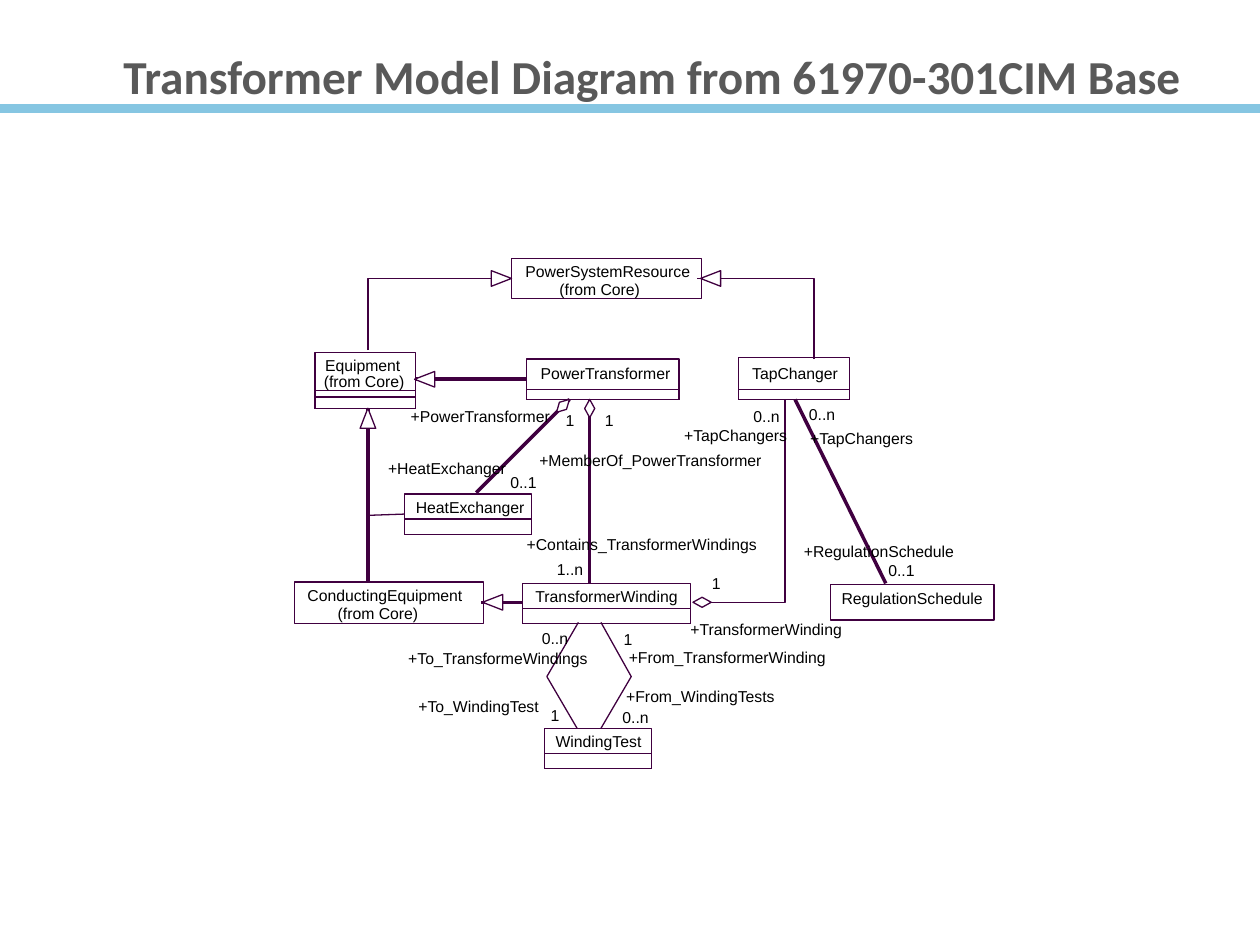
from dataclasses import dataclass
from math import hypot

from lxml.etree import SubElement
from pptx import Presentation
from pptx.dml.color import RGBColor
from pptx.enum.shapes import MSO_CONNECTOR, MSO_SHAPE
from pptx.enum.text import MSO_ANCHOR, MSO_AUTO_SIZE, PP_ALIGN
from pptx.oxml.ns import qn
from pptx.util import Inches, Pt

PLUM = RGBColor(0x40, 0x00, 0x40)
SKY = RGBColor(0x86, 0xC6, 0xE2)
GREY = RGBColor(0x59, 0x59, 0x59)
BLACK = RGBColor(0x00, 0x00, 0x00)
WHITE = RGBColor(0xFF, 0xFF, 0xFF)
COLUMNS, ROWS = 100, 75
LABEL_HEIGHT = 1.5

# Each class: left, top, width, height, divider offsets, text lines (text, x, y, width).
CLASSES = [
    (3.4, 26.2, 15, 3.3, [], [("ConductingEquipment", 1, 0.3, 12.4), ("(from Core)", 3.4, 1.7, 6.5)]),
    (5, 8, 8, 4.4, [3, 3.5], [("Equipment", 0.8, 0.2, 6), ("(from Core)", 0.7, 1.5, 6.5)]),
    (20.6, 0.5, 15.1, 3.2, [], [("PowerSystemResource", 1.1, 0.3, 13.2), ("(from Core)", 3.8, 1.7, 6.5)]),
    (45.9, 26.4, 13, 2.8, [], [("RegulationSchedule", 0.9, 0.3, 11.3)]),
    (38.6, 8.4, 8.8, 3.3, [2.5], [("TapChanger", 1.1, 0.5, 7)]),
    (23.2, 37.8, 8.5, 3.2, [2], [("WindingTest", 0.9, 0.3, 7)]),
    (12.1, 19.2, 10.1, 3.2, [2], [("HeatExchanger", 0.9, 0.3, 8.7)]),
    (21.5, 26.3, 13.3, 3.2, [2], [("TransformerWinding", 1, 0.3, 11.4)]),
    (21.8, 8.5, 12.1, 3.2, [2.4], [("PowerTransformer", 1.1, 0.4, 10.4)]),
]
RELATIONS = [
    [(50.3, 26.3), (43.1, 11.7)],
    [(42.3, 11.7), (42.3, 27.8), (35.2, 27.8)],
    [(27.7, 37.8), (30.1, 33.7), (27.7, 29.4)],
    [(25.8, 37.8), (23.4, 33.7), (25.9, 29.4)],
    [(17.8, 19.1), (25.2, 11.7)],
    [(21.8, 10.1), (13, 10.1)],
    [(26.8, 26.3), (26.8, 11.7)],
    [(21.5, 27.8), (18.2, 27.8)],
    [(9.2, 26.2), (9.2, 12.4)],
    [(12.1, 20.8), (9.2, 20.9), (9.2, 12.4)],
    [(9.2, 7.8), (9.2, 2.1), (20.6, 2.1)],
    [(44.6, 8.5), (44.6, 2.1), (35.3, 2.1)],
]
# Each head: tip and direction from the tip along the relation.
TRIANGLES = [((12.9, 10.1), (1, 0)), ((18.3, 27.8), (1, 0)), ((9.2, 12.4), (0, 1)),
             ((20.6, 2.1), (-1, 0)), ((35.6, 2.1), (1, 0))]
DIAMONDS = [((35, 27.8), (1, 0)), ((25.2, 11.7), (-1, 1)), ((26.8, 11.7), (0, 1))]
ROLES = [
    ("+RegulationSchedule", 43.8, 23, 12), ("+TapChangers", 44.3, 14, 8.4),
    ("+TapChangers", 34.3, 13.8, 8.4), ("+TransformerWinding", 34.8, 29.2, 12.2),
    ("+From_TransformerWinding", 29.9, 31.4, 15.8), ("+From_WindingTests", 29.7, 34.5, 12),
    ("+To_WindingTest", 13.2, 35.3, 9.9), ("+To_TransformeWindings", 12.4, 31.5, 14.6),
    ("+HeatExchanger", 10.8, 16.4, 9.4), ("+PowerTransformer", 12.6, 12.3, 11.2),
    ("+Contains_TransformerWindings", 21.8, 22.4, 18.5),
    ("+MemberOf_PowerTransformer", 22.8, 15.8, 17.8),
]
COUNTS = {
    "0..1": [(50.5, 24.5), (20.5, 17.5)],
    "0..n": [(44.2, 12.1), (39.8, 12.3), (29.4, 36.2), (23, 29.9)],
    "1..n": [(24.2, 24.4)],
    "1": [(36.5, 25.5), (29.5, 30), (23.7, 36), (24.9, 12.6), (28, 12.6)],
}


@dataclass
class Box:
    """A region whose parts are placed in grid units from its corner."""
    page: object
    left: int
    top: int
    column: int
    row: int

    def point(self, x, y):
        """Return the slide position of a grid point."""
        return round(self.left + x * self.column), round(self.top + y * self.row)

    def area(self, x, y, width, height):
        """Return the position and size of a grid rectangle."""
        return *self.point(x, y), round(width * self.column), round(height * self.row)


def write(frame, text, *, size, font, color, bold=False, align=PP_ALIGN.LEFT):
    """Put one formatted run of text in a frame."""
    para = frame.paragraphs[0]
    para.alignment = align
    span = para.add_run()
    span.text = text
    span.font.size, span.font.name, span.font.bold = Pt(size), font, bold
    span.font.color.rgb = color


def outline(shape, fill=None):
    """Give a shape a hairline and an optional fill."""
    shape.shadow.inherit = False
    shape.line.color.rgb = PLUM
    shape.line.width = Pt(0)
    if fill is None:
        shape.fill.background()
    else:
        shape.fill.solid()
        shape.fill.fore_color.rgb = fill


def straight(page, start, end, color, width):
    """Draw a straight line without a shadow."""
    line = page.shapes.add_connector(MSO_CONNECTOR.STRAIGHT, *start, *end)
    line.line.color.rgb = color
    line.line.width = Pt(width)
    SubElement(line._element.spPr, qn("a:effectLst"))


def path(box, points, closed=False):
    """Draw an outline through grid points."""
    places = [box.point(*point) for point in points]
    builder = box.page.shapes.build_freeform(*places[0], scale=1.0)
    builder.add_line_segments(places[1:], close=closed)
    outline(builder.convert_to_shape(), WHITE if closed else None)


def label(box, text, x, y, width):
    """Place a small unwrapped caption."""
    frame = box.page.shapes.add_textbox(*box.area(x, y, width, LABEL_HEIGHT)).text_frame
    frame.margin_left = frame.margin_right = frame.margin_top = frame.margin_bottom = 0
    frame.word_wrap = False
    frame.auto_size = MSO_AUTO_SIZE.SHAPE_TO_FIT_TEXT
    write(frame, text, size=9, font="Arial", color=BLACK)


def rectangle(box, *area, fill=None):
    """Draw an outlined rectangle."""
    outline(box.page.shapes.add_shape(MSO_SHAPE.RECTANGLE, *box.area(*area)), fill)


def class_box(box, left, top, width, height, dividers, lines):
    """Draw a class with its compartments and name."""
    rectangle(box, left, top, width, height, fill=WHITE)
    for offset in dividers:
        rectangle(box, left, top + offset, width, height - offset)
    for text, x, y, extent in lines:
        label(box, text, left + x, top + y, extent)


def head(box, tip, direction, length, half, diamond):
    """Draw a triangle or diamond pointing at its tip."""
    scale = hypot(*direction)
    dx, dy = (part / scale for part in direction)

    def at(along, across):
        """Return the point at a distance along and across the relation."""
        return tip[0] + along * dx - across * dy, tip[1] + along * dy + across * dx

    widest = length / 2 if diamond else length
    end = [at(length, 0)] if diamond else []
    path(box, [tip, at(widest, half), *end, at(widest, -half)], closed=True)


def heading(box):
    """Set the title above its coloured rule."""
    straight(box.page, box.point(0, 8.6), box.point(COLUMNS, 8.6), SKY, 5)
    title = box.page.shapes.title
    title.left, title.top, title.width, title.height = box.area(8.8, 3.7, 89.4, 4.6)
    title.text_frame.vertical_anchor = MSO_ANCHOR.MIDDLE
    title.text_frame.auto_size = MSO_AUTO_SIZE.NONE
    write(title.text_frame, "Transformer Model Diagram from 61970-301CIM Base",
          size=27, font="Calibri", color=GREY, bold=True)


def diagram(box):
    """Draw the classes, their relations and the role captions."""
    for item in CLASSES:
        class_box(box, *item)
    for points in RELATIONS:
        if len(points) == 2:
            straight(box.page, *(box.point(*point) for point in points), PLUM, 0)
        else:
            path(box, points)
    for tip, direction in TRIANGLES:
        head(box, tip, direction, 1.6, 0.62, False)
    for tip, direction in DIAMONDS:
        head(box, tip, direction, 1.45, 0.4, True)
    for role in ROLES:
        label(box, *role)
    for text, places in COUNTS.items():
        for x, y in places:
            label(box, text, x, y, 0.7 if text == "1" else 2.1)


def main():
    """Build and save the deck."""
    deck = Presentation()
    deck.slide_width, deck.slide_height = Inches(10), Inches(7.5)
    page = deck.slides.add_slide(deck.slide_layouts[5])
    column, row = deck.slide_width // COLUMNS, deck.slide_height // ROWS
    heading(Box(page, 0, 0, column, row))
    diagram(Box(page, 20 * column, 20 * row, column, row))
    deck.save("out.pptx")


if __name__ == "__main__":
    main()
